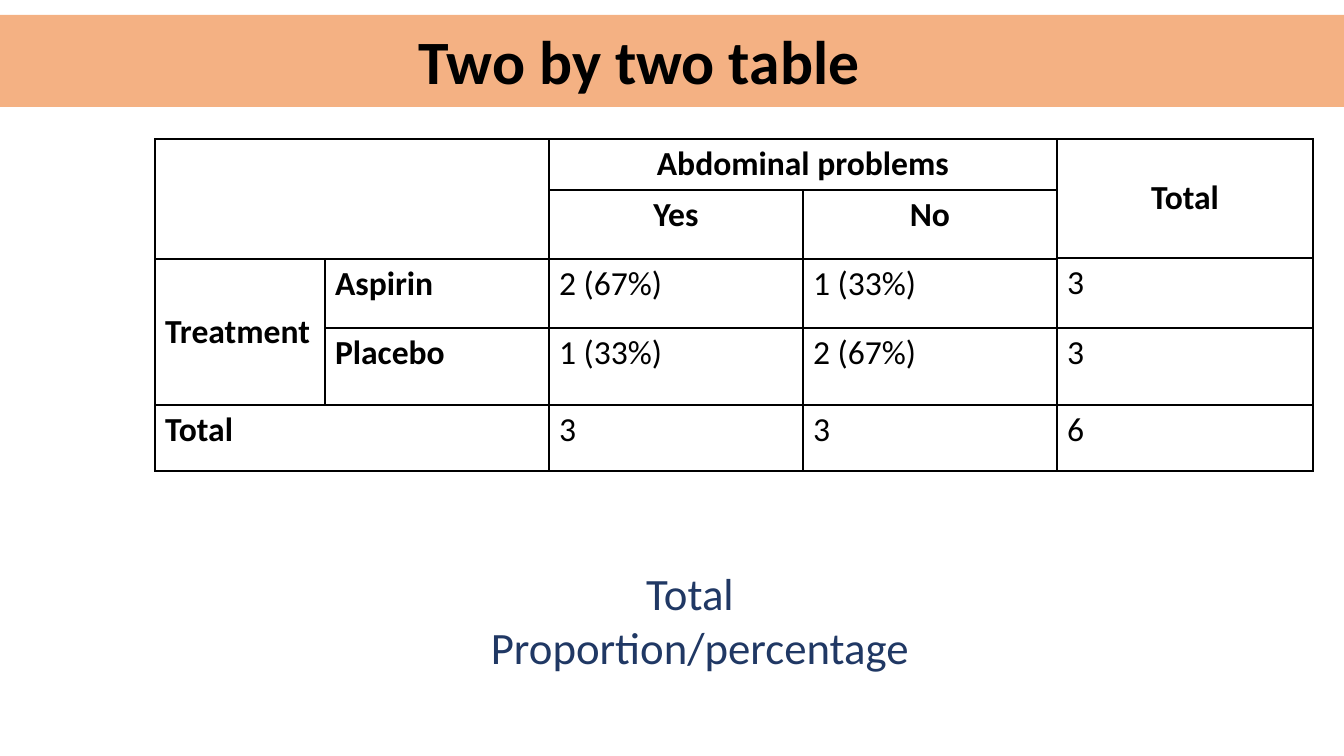
from pptx import Presentation
from pptx.dml.color import RGBColor
from pptx.enum.shapes import MSO_SHAPE as SHAPE
from pptx.enum.text import MSO_ANCHOR as ANCHOR, PP_ALIGN as ALIGN
from pptx.oxml import parse_xml
from pptx.oxml.ns import nsdecls
from pptx.util import Pt

COLORS = {"band": "F4B183", "ink": "000000", "note": "203864", "paper": "FFFFFF"}
EMU_PER_PX = 914400 / 100.8


def px(n):
    return round(n * EMU_PER_PX)


class Deck:
    """Holds the slide style and the slide being built."""

    font = "Calibri"

    def __init__(self, width, height):
        self.prs = Presentation()
        self.prs.slide_width, self.prs.slide_height = px(width), px(height)
        self.s = self.prs.slides.add_slide(self.prs.slide_layouts[6])

    def color(self, name):
        return RGBColor.from_string(COLORS[name])

    def run(self, p, text, size, color="ink", bold=False):
        r = p.add_run()
        r.text = text
        r.font.name, r.font.size, r.font.bold = self.font, Pt(size), bold
        r.font.color.rgb = self.color(color)

    def band(self, x, y, w, h, color):
        sp = self.s.shapes.add_shape(SHAPE.RECTANGLE, px(x), px(y), px(w), px(h))
        sp.shadow.inherit = False
        sp.fill.solid()
        sp.fill.fore_color.rgb = self.color(color)
        sp.line.fill.background()

    def text(self, x, y, w, h, lines, size, color="ink", bold=False,
             anchor=ANCHOR.TOP, spacing=None):
        tf = self.s.shapes.add_textbox(px(x), px(y), px(w), px(h)).text_frame
        tf.word_wrap, tf.vertical_anchor = True, anchor
        for i, line in enumerate(lines):
            p = tf.add_paragraph() if i else tf.paragraphs[0]
            p.alignment, p.line_spacing = ALIGN.CENTER, spacing
            self.run(p, line, size, color, bold)

    def border(self, cell):
        tcPr = cell._tc.get_or_add_tcPr()
        for i, side in enumerate("LRTB"):
            tcPr.insert(i, parse_xml(
                f'<a:ln{side} {nsdecls("a")} w="12700"><a:solidFill>'
                f'<a:srgbClr val="{COLORS["ink"]}"/></a:solidFill></a:ln{side}>'))

    def table(self, x, y, cols, rows, cells, merges=(), centered=(), middle=(), fill=None):
        tbl = self.s.shapes.add_table(len(rows), len(cols), px(x), px(y),
                                      px(sum(cols)), px(sum(rows))).table
        tbl.first_row = tbl.horz_banding = False
        for col, w in zip(tbl.columns, cols):
            col.width = px(w)
        for row, h in zip(tbl.rows, rows):
            row.height = px(h)
        for first, last in merges:
            tbl.cell(*first).merge(tbl.cell(*last))
        for i, values in enumerate(cells):
            for j, value in enumerate(values):
                cell = tbl.cell(i, j)
                if fill:
                    cell.fill.solid()
                    cell.fill.fore_color.rgb = self.color(fill)
                else:
                    cell.fill.background()
                self.border(cell)
                if (i, j) in middle:
                    cell.vertical_anchor = ANCHOR.MIDDLE
                if value:
                    p = cell.text_frame.paragraphs[0]
                    p.alignment = ALIGN.CENTER if i in centered else ALIGN.LEFT
                    self.run(p, value, 24, bold=not value[0].isdigit())


def main():
    deck = Deck(1344, 756)
    deck.band(0, 15, 1344, 92, "band")
    deck.text(261, 21, 756, 87, ["Two by two table"], 44, bold=True,
              anchor=ANCHOR.MIDDLE, spacing=0.9)

    left, top, bottom = 155, 139, 405
    label_cols, count_cols, total_col = [170, 224], [254, 254], 256
    deck.table(left, top, label_cols + count_cols, [51, 69, 69, 77], [
        ["", "", "Abdominal problems", ""],
        ["", "", "Yes", "No"],
        ["Treatment", "Aspirin", "2 (67%)", "1 (33%)"],
        ["", "Placebo", "1 (33%)", "2 (67%)"],
    ], merges=[((0, 0), (1, 1)), ((0, 2), (0, 3)), ((2, 0), (3, 0))],
        centered=(0, 1), middle=[(2, 0)])
    deck.table(left + sum(label_cols + count_cols), top, [total_col], [119, 70, 77],
               [["Total"], ["3"], ["3"]], centered=(0,), middle=[(0, 0)])
    deck.table(left, bottom, [sum(label_cols), *count_cols, total_col], [66],
               [["Total", "3", "3", "6"]], fill="paper")

    deck.text(406, 561, 578, 119, ["Total ", " Proportion/percentage"], 32, "note")
    deck.prs.save("out.pptx")


if __name__ == "__main__":
    main()
